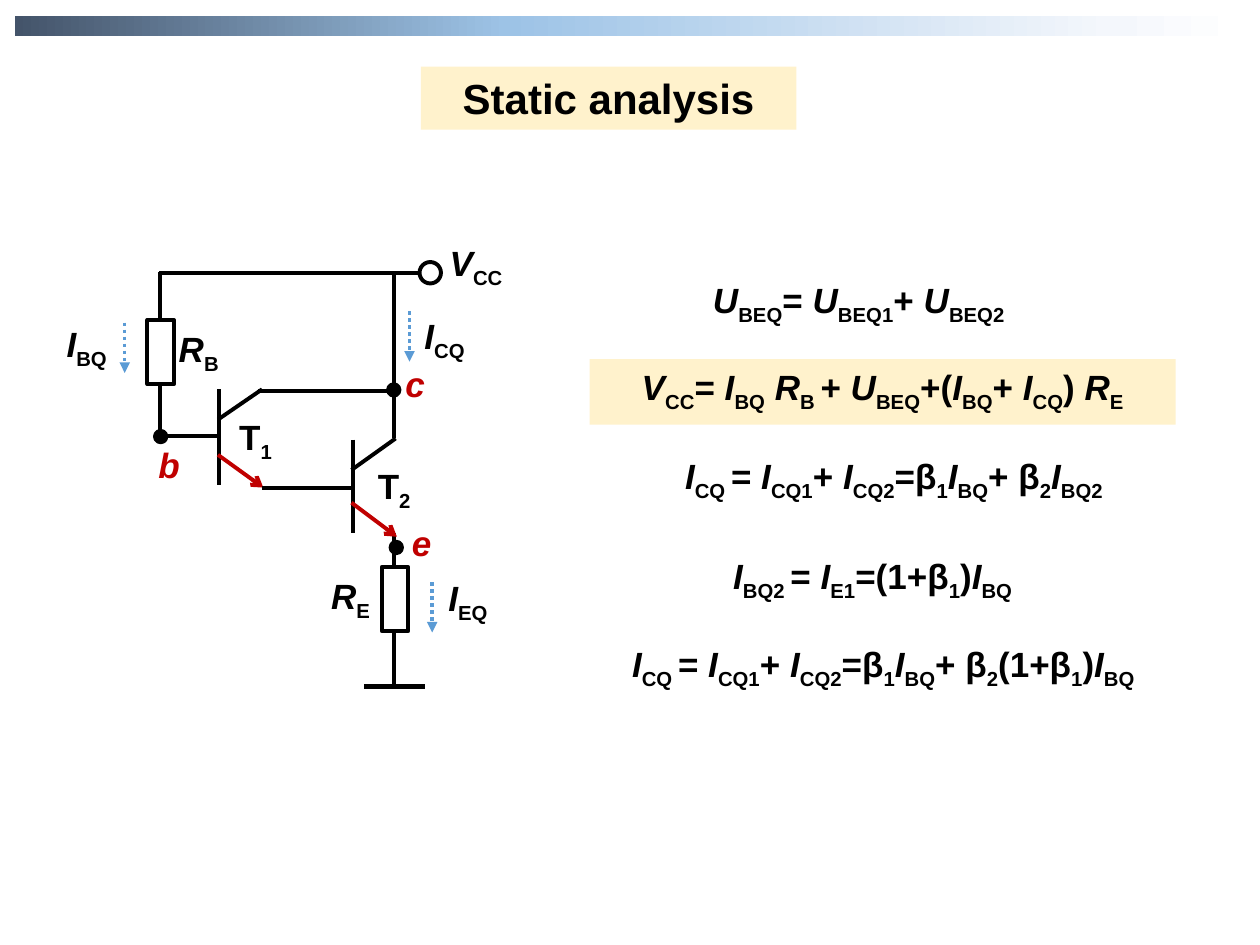
from dataclasses import dataclass
from typing import Optional

from lxml.etree import SubElement
from pptx import Presentation
from pptx.dml.color import RGBColor
from pptx.enum.dml import MSO_LINE
from pptx.enum.shapes import MSO_CONNECTOR, MSO_SHAPE
from pptx.enum.text import MSO_AUTO_SIZE, PP_ALIGN
from pptx.oxml.ns import qn
from pptx.util import Inches, Pt

BLACK = RGBColor(0x00, 0x00, 0x00)
WHITE = RGBColor(0xFF, 0xFF, 0xFF)
RED = RGBColor(0xC0, 0x00, 0x00)
BLUE = RGBColor(0x5B, 0x9B, 0xD5)
CREAM = RGBColor(0xFF, 0xF2, 0xCC)

BANNER_STOPS = [(0, "44546A"), (40, "9DC3E6"), (89, "F4F7FC"), (100, "FFFFFF")]
BASE_FONT = {"name": "Arial", "bold": True}
LEFT, CENTER = PP_ALIGN.LEFT, PP_ALIGN.CENTER


@dataclass
class Label:
    """Markup parts are split by |: /x is italic, _x is a subscript."""
    markup: str
    left: float
    top: float
    width: float
    height: float = 0.52
    color: RGBColor = BLACK
    align: PP_ALIGN = LEFT
    size: int = 20
    fill: Optional[RGBColor] = None


@dataclass
class Wire:
    x1: float
    y1: float
    x2: float
    y2: float
    color: RGBColor = BLACK
    weight: float = 2.25
    arrow: Optional[str] = None
    dash: Optional[MSO_LINE] = None


@dataclass
class Part:
    kind: MSO_SHAPE
    left: float
    top: float
    width: float
    height: float
    fill: RGBColor = WHITE


def node(left: float, top: float) -> Part:
    return Part(MSO_SHAPE.OVAL, left, top, 0.09, 0.09, BLACK)


def resistor(left: float, top: float) -> Part:
    return Part(MSO_SHAPE.RECTANGLE, left, top, 0.21, 0.51)


def current(x: float, top: float) -> Wire:
    return Wire(x, top, x, top + 0.4, BLUE, 2, "triangle", MSO_LINE.ROUND_DOT)


def terminal_name(letter: str, left: float, top: float) -> Label:
    return Label(f"/{letter}", left, top, 0.43, 0.44, RED)


TEXTS = [
    Label("Static analysis", 3.34, 0.53, 2.98, 0.5, align=CENTER, size=24, fill=CREAM),
    # Equations
    Label("/U|_BEQ|= |/U|_BEQ1|+ |/U|_BEQ2", 5.56, 2.16, 3.08),
    Label("/V|_CC|=|/ I|_BQ|/ R|_B |+|/ U|_BEQ|+(|/I|_BQ|+|/ I|_CQ|)|/ R|_E",
          4.68, 2.85, 4.65, align=CENTER, fill=CREAM),
    Label("/I|_CQ |=|/ I|_CQ1|+|/ I|_CQ2|=β|_1|/I|_BQ|+ β|_2|/I|_BQ2",
          4.88, 3.56, 4.43, 0.53, align=CENTER),
    Label("/I|_BQ2 |=|/ I|_E1|=(1+β|_1|)|/I|_BQ", 5.72, 4.35, 2.75, 0.53),
    Label("/I|_CQ |=|/ I|_CQ1|+|/ I|_CQ2|=β|_1|/I|_BQ|+ β|_2|(1+β|_1|)|/I|_BQ",
          4.65, 5.05, 4.72, 0.53, align=CENTER),
    # Circuit labels
    Label("/I|_BQ", 0.43, 2.51, 0.58),
    Label("/I|_CQ", 3.27, 2.45, 0.67),
    Label("/I|_EQ", 3.46, 4.53, 0.68),
    Label("/V|_CC", 3.47, 1.87, 0.79),
    Label("/R|_B", 1.32, 2.55, 0.69),
    Label("/R|_E", 2.53, 4.51, 0.57),
    Label("T|_1", 1.8, 3.25, 0.53),
    Label("T|_2", 2.9, 3.64, 0.53),
    terminal_name("b", 1.16, 3.47),
    terminal_name("c", 3.12, 2.83),
    terminal_name("e", 3.17, 4.09),
]

WIRES = [
    # Supply rail and ground
    Wire(3.33, 2.17, 1.26, 2.17),
    Wire(1.27, 3.46, 1.27, 2.16),
    Wire(3.13, 3.48, 3.13, 2.16),
    Wire(3.13, 4.23, 3.13, 5.45),
    Wire(2.89, 5.45, 3.37, 5.45, weight=3),
    # Transistor T1
    Wire(1.74, 3.09, 1.74, 3.85),
    Wire(1.74, 3.46, 1.27, 3.46),
    Wire(1.73, 3.33, 2.08, 3.09),
    Wire(3.15, 3.1, 2.05, 3.1),
    Wire(1.73, 3.61, 2.09, 3.87, RED, arrow="arrow"),
    # Transistor T2
    Wire(2.8, 3.49, 2.8, 4.23),
    Wire(2.8, 3.87, 2.08, 3.87),
    Wire(2.79, 3.73, 3.14, 3.48),
    Wire(2.79, 3.99, 3.15, 4.26, RED, arrow="arrow"),
    # Current directions
    current(0.99, 2.56),
    current(3.25, 2.47),
    current(3.43, 4.62),
]

PARTS = [
    resistor(1.17, 2.54),
    resistor(3.03, 4.5),
    Part(MSO_SHAPE.OVAL, 3.33, 2.08, 0.17, 0.17),
    node(1.23, 3.42),
    node(3.08, 3.05),
    node(3.1, 4.3),
]


def draw_banner(slide) -> None:
    banner = slide.shapes.add_shape(MSO_SHAPE.RECTANGLE, Inches(0.12), Inches(0.13),
                                    Inches(9.76), Inches(0.16))
    banner.shadow.inherit = False
    banner.line.fill.background()
    banner.fill.gradient()
    banner.fill.gradient_angle = 0
    stops = banner._element.spPr.find(qn("a:gradFill")).find(qn("a:gsLst"))
    for old_stop in list(stops):
        stops.remove(old_stop)
    for percent, color in BANNER_STOPS:
        stop = SubElement(stops, qn("a:gs"), pos=str(percent * 1000))
        SubElement(stop, qn("a:srgbClr"), val=color)


def draw_label(slide, label: Label) -> None:
    box = slide.shapes.add_textbox(Inches(label.left), Inches(label.top),
                                   Inches(label.width), Inches(label.height))
    if label.fill is not None:
        box.fill.solid()
        box.fill.fore_color.rgb = label.fill
    frame = box.text_frame
    frame.word_wrap = True
    frame.auto_size = MSO_AUTO_SIZE.SHAPE_TO_FIT_TEXT
    paragraph = frame.paragraphs[0]
    paragraph.alignment = label.align
    for piece in label.markup.split("|"):
        run = paragraph.add_run()
        run.text = piece.lstrip("/_")
        formats = {**BASE_FONT, "size": Pt(label.size), "italic": piece.startswith("/")}
        for attribute, value in formats.items():
            setattr(run.font, attribute, value)
        run.font.color.rgb = label.color
        if piece.startswith("_"):
            run._r.get_or_add_rPr().set("baseline", "-25000")


def draw_wire(slide, wire: Wire) -> None:
    connector = slide.shapes.add_connector(MSO_CONNECTOR.STRAIGHT, Inches(wire.x1),
                                           Inches(wire.y1), Inches(wire.x2), Inches(wire.y2))
    connector.line.color.rgb = wire.color
    connector.line.width = Pt(wire.weight)
    if wire.dash is not None:
        connector.line.dash_style = wire.dash
    properties = connector._element.spPr
    if wire.arrow:
        SubElement(properties.find(qn("a:ln")), qn("a:tailEnd"), type=wire.arrow)
    SubElement(properties, qn("a:effectLst"))


def draw_part(slide, part: Part) -> None:
    symbol = slide.shapes.add_shape(part.kind, Inches(part.left), Inches(part.top),
                                    Inches(part.width), Inches(part.height))
    symbol.shadow.inherit = False
    symbol.fill.solid()
    symbol.fill.fore_color.rgb = part.fill
    symbol.line.color.rgb = BLACK
    symbol.line.width = Pt(2.25)


def main() -> None:
    deck = Presentation()
    deck.slide_width, deck.slide_height = Inches(10), Inches(7.5)
    slide = deck.slides.add_slide(deck.slide_layouts[6])
    draw_banner(slide)
    for draw, items in ((draw_wire, WIRES), (draw_part, PARTS), (draw_label, TEXTS)):
        for item in items:
            draw(slide, item)
    deck.save("out.pptx")


if __name__ == "__main__":
    main()
